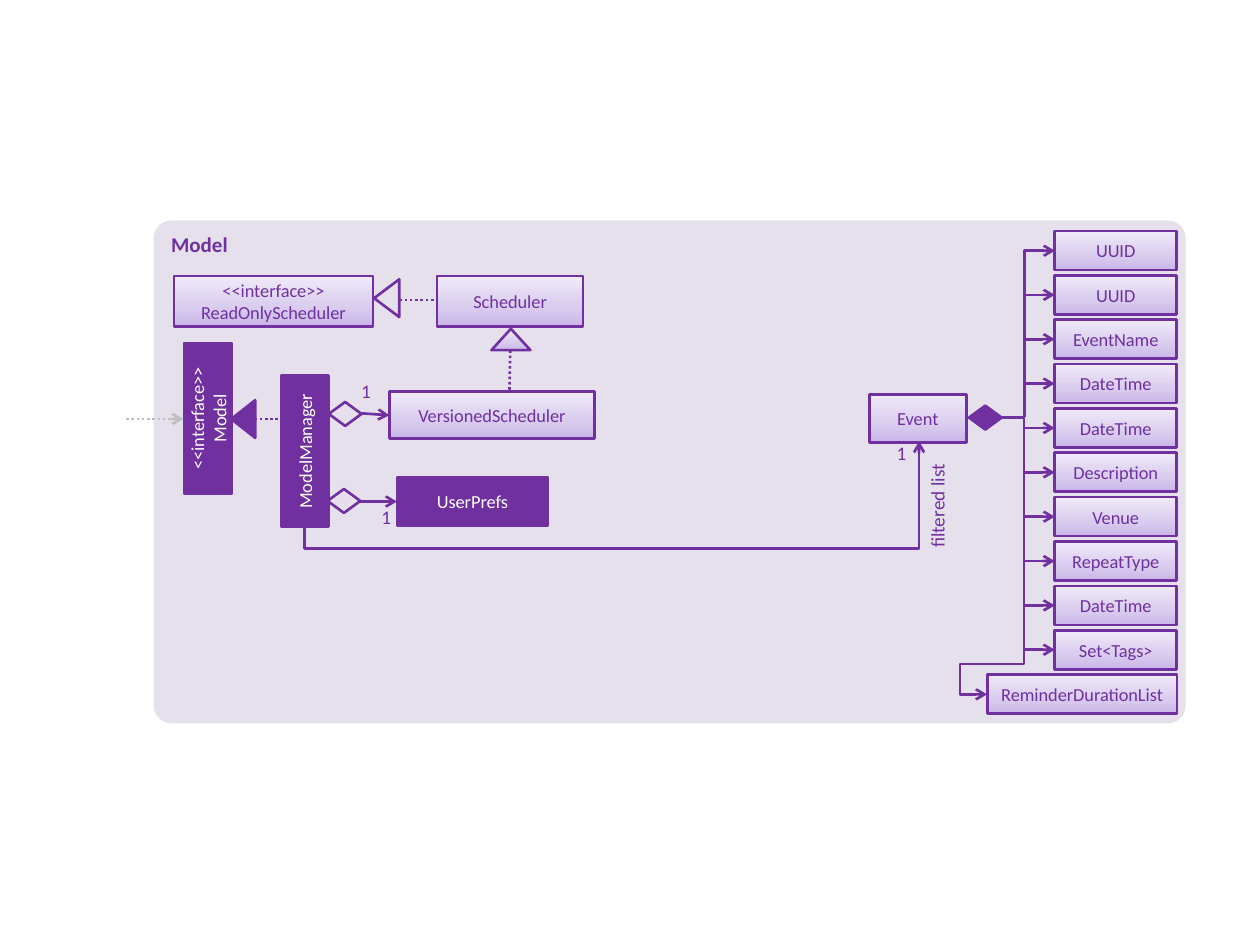
from copy import deepcopy
from pptx import Presentation
from pptx.dml.color import RGBColor
from pptx.enum.dml import MSO_LINE
from pptx.enum.shapes import MSO_CONNECTOR, MSO_SHAPE
from pptx.enum.text import MSO_ANCHOR, PP_ALIGN
from pptx.oxml.ns import qn
from pptx.util import Pt
from lxml import etree

RECT, ROUND = MSO_SHAPE.RECTANGLE, MSO_SHAPE.ROUNDED_RECTANGLE
TRIANGLE, DECISION = MSO_SHAPE.ISOSCELES_TRIANGLE, MSO_SHAPE.FLOWCHART_DECISION
STRAIGHT, ELBOW = MSO_CONNECTOR.STRAIGHT, MSO_CONNECTOR.ELBOW
LEFT, CENTER, RIGHT = PP_ALIGN.LEFT, PP_ALIGN.CENTER, PP_ALIGN.RIGHT
TOP, MIDDLE = MSO_ANCHOR.TOP, MSO_ANCHOR.MIDDLE
DOTS = MSO_LINE.ROUND_DOT
PURPLE = RGBColor(0x70, 0x30, 0xA0)
PANEL = RGBColor(0xE6, 0xE0, 0xEC)
WHITE = RGBColor(0xFF, 0xFF, 0xFF)
GRAY = RGBColor(0xBF, 0xBF, 0xBF)
STOPS = [
    (0, RGBColor(0xC9, 0xB5, 0xE8)),
    (0.35, RGBColor(0xD8, 0xCB, 0xEE)),
    (1, RGBColor(0xF0, 0xEA, 0xF9)),
]


def write(s, text, size=10.5, color=PURPLE, bold=False, align=CENTER, anchor=MIDDLE):
    tf = s.text_frame
    tf.word_wrap = True
    tf.vertical_anchor = anchor
    for i, line in enumerate(text.split("\n")):
        p = tf.add_paragraph() if i else tf.paragraphs[0]
        p.text = line
        p.alignment = align
        for r in p.runs:
            r.font.name = "Calibri"
            r.font.size = Pt(size)
            r.font.bold = bold
            r.font.color.rgb = color


def style_line(c, color=PURPLE, dash=None, arrow=True):
    c.line.color.rgb = color
    c.line.width = Pt(1.5)
    if dash:
        c.line.dash_style = dash
    if arrow:
        etree.SubElement(c.line._get_or_add_ln(), qn("a:tailEnd"), type="arrow")
    etree.SubElement(c._element.spPr, qn("a:effectLst"))


prs = Presentation()
prs.slide_width, prs.slide_height = Pt(720), Pt(540)
slide = prs.slides.add_slide(prs.slide_layouts[6])
sp = slide.shapes

panel = sp.add_shape(ROUND, Pt(87.8), Pt(126), Pt(589.7), Pt(287.3))
panel.adjustments[0] = 0.035
panel.shadow.inherit = False
panel.fill.solid()
panel.fill.fore_color.rgb = PANEL
panel.line.fill.background()
write(panel, "Model", size=12, bold=True, align=LEFT, anchor=TOP)

boxes = [
    ("UserPrefs", 226.8, 272.9, 86.4, 27.4, 0, PURPLE),
    ("ModelManager", 131, 244.1, 86.4, 27.4, 270, PURPLE),
    ("<<interface>>\nModel", 75.6, 225.4, 86.4, 27.4, 270, PURPLE),
    ("VersionedScheduler", 222.5, 223.9, 117.4, 26.6, 0, STOPS),
    ("Event", 496.8, 225.4, 55.4, 27.4, 0, STOPS),
    ("<<interface>>\vReadOnlyScheduler", 99.4, 157.7, 113.8, 28.8, 0, STOPS),
    ("Scheduler", 249.8, 157.7, 83.5, 28.8, 0, STOPS),
]
fields = ["UUID", "UUID", "EventName", "DateTime", "DateTime", "Description",
          "Venue", "RepeatType", "DateTime", "Set<Tags>", "ReminderDurationList"]
FIELD_TOP, FIELD_STEP, FIELD_H, FIELD_RIGHT = 132, 25.35, 22.3, 672.5
for i, name in enumerate(fields):
    w = 108.3 if i == len(fields) - 1 else 69.8
    boxes.append((name, FIELD_RIGHT - w, FIELD_TOP + i * FIELD_STEP, w, FIELD_H, 0, STOPS))

symbols = [
    (TRIANGLE, 128.2, 232.6, 21.6, 13.7, 270, PURPLE),
    (TRIANGLE, 280.8, 187.9, 22.3, 12.2, 0, STOPS),
    (TRIANGLE, 210.2, 163.2, 21.6, 14.4, 270, PANEL),
    (DECISION, 187.2, 279.4, 18.7, 13.7, 0, None),
    (DECISION, 187.9, 229.7, 18.7, 13.7, 0, None),
    (DECISION, 553.7, 231.8, 18.7, 13.7, 0, PURPLE),
]

outlines = [(RECT, *box[1:], box[0]) for box in boxes] + [(*symbol, "") for symbol in symbols]
for kind, x, y, w, h, rot, fill, text in outlines:
    s = sp.add_shape(kind, Pt(x), Pt(y), Pt(w), Pt(h))
    s.rotation = rot
    s.shadow.inherit = False
    s.line.color.rgb = PURPLE
    s.line.width = Pt(1.5)
    if fill is None:
        s.fill.background()
    elif fill is STOPS:
        s.fill.gradient()
        s.fill.gradient_angle = 90
        stops = s._element.spPr.find(".//" + qn("a:gsLst"))
        stops.insert(1, deepcopy(stops[0]))
        for stop, (position, color) in zip(s.fill.gradient_stops, STOPS):
            stop.position = position
            stop.color.rgb = color
    else:
        s.fill.solid()
        s.fill.fore_color.rgb = fill
    if text:
        write(s, text, color=WHITE if fill is PURPLE else PURPLE)

TRUNK_X = 585.2
lines = [
    (205.2, 286.6, 226.8, 286.6, PURPLE, None, True),
    (206.6, 236.2, 222.5, 237.3, PURPLE, None, True),
    (72, 239.4, 104.8, 239.4, GRAY, DOTS, True),
    (145.4, 239.4, 162.7, 239.4, PURPLE, DOTS, False),
    (291.6, 200.2, 291.1, 223.2, PURPLE, DOTS, False),
    (228.2, 171.4, 249.8, 171.4, PURPLE, DOTS, False),
    (572.4, 238.6, TRUNK_X, 238.6, PURPLE, None, False),
]
for i in range(1, 10):
    y = FIELD_TOP + i * FIELD_STEP + FIELD_H / 2
    lines.append((TRUNK_X, y, 602.7, y, PURPLE, None, True))
for x1, y1, x2, y2, color, dash, arrow in lines:
    c = sp.add_connector(STRAIGHT, Pt(x1), Pt(y1), Pt(x2), Pt(y2))
    style_line(c, color, dash, arrow)

elbows = [
    ("bentConnector3", 325.4, 100.8, 48.4, 351.2, True, [-26700]),
    ("bentConnector2", 546.4, 182.2, 95.2, 17.5, True, []),
    ("bentConnector4", 495.4, 307, 158.4, 21.2, False, [89000, 173000]),
]
for preset, x, y, w, h, flipped, bends in elbows:
    c = sp.add_connector(ELBOW, Pt(x), Pt(y), Pt(x + w), Pt(y + h))
    xfrm = c._element.spPr.find(qn("a:xfrm"))
    xfrm.set("rot", "5400000")
    if flipped:
        xfrm.set("flipH", "1")
        xfrm.set("flipV", "1")
    geom = c._element.spPr.find(qn("a:prstGeom"))
    geom.set("prst", preset)
    guides = geom.find(qn("a:avLst"))
    for i, bend in enumerate(bends, 1):
        etree.SubElement(guides, qn("a:gd"), name=f"adj{i}", fmla=f"val {bend}")
    style_line(c)

s = sp.add_textbox(Pt(501.1), Pt(282.2), Pt(69.1), Pt(20.9))
s.rotation = 270
write(s, "filtered list", size=11, align=RIGHT, anchor=TOP)

for x, y, w, h in [(202.3, 216.7, 13.7, 10.8), (213.1, 288.7, 15.1, 14.4), (507.6, 252, 15.1, 14.4)]:
    s = sp.add_textbox(Pt(x), Pt(y), Pt(w), Pt(h))
    tf = s.text_frame
    tf.margin_left = tf.margin_right = tf.margin_top = tf.margin_bottom = 0
    write(s, "1", size=11, anchor=TOP)

prs.save("out.pptx")
